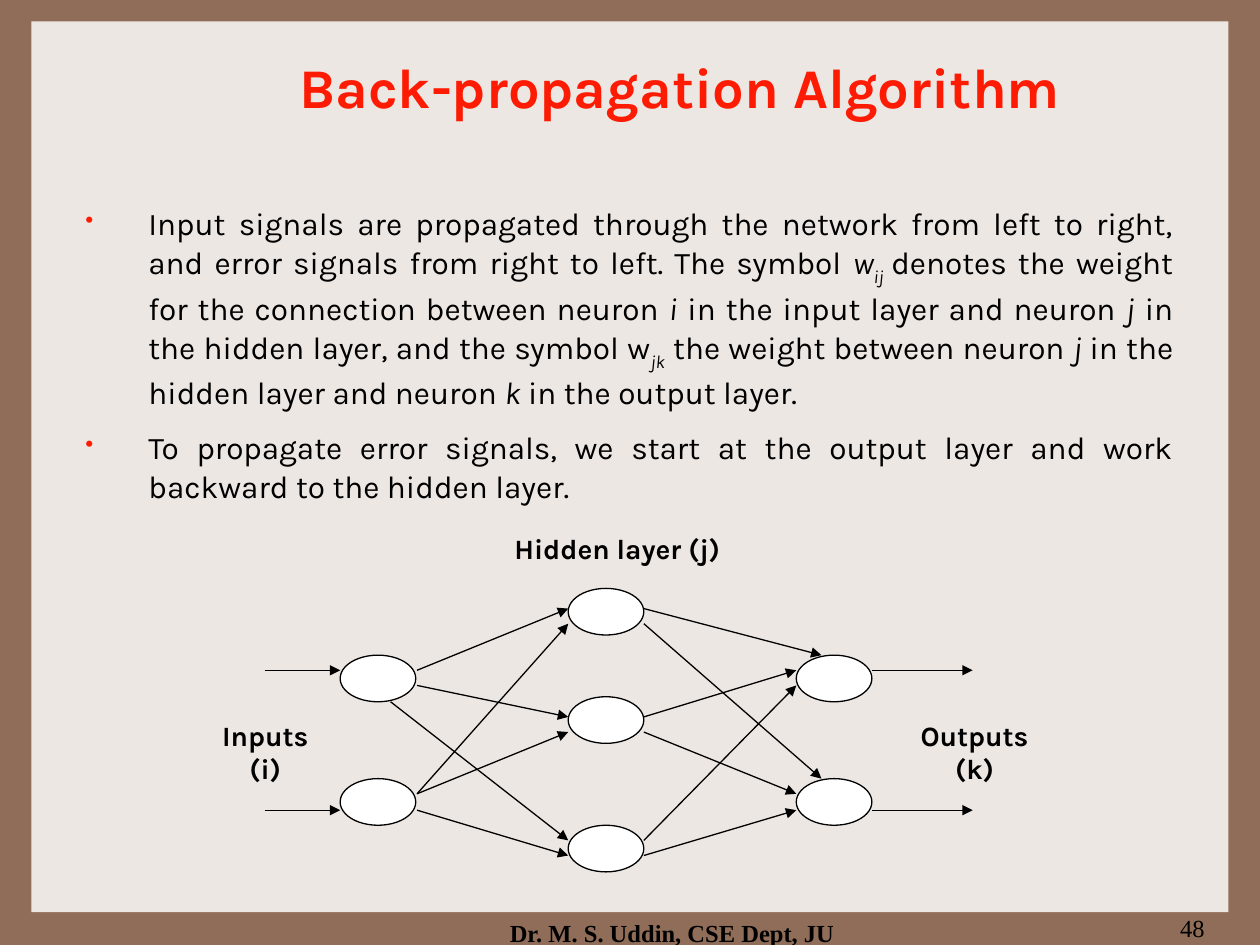
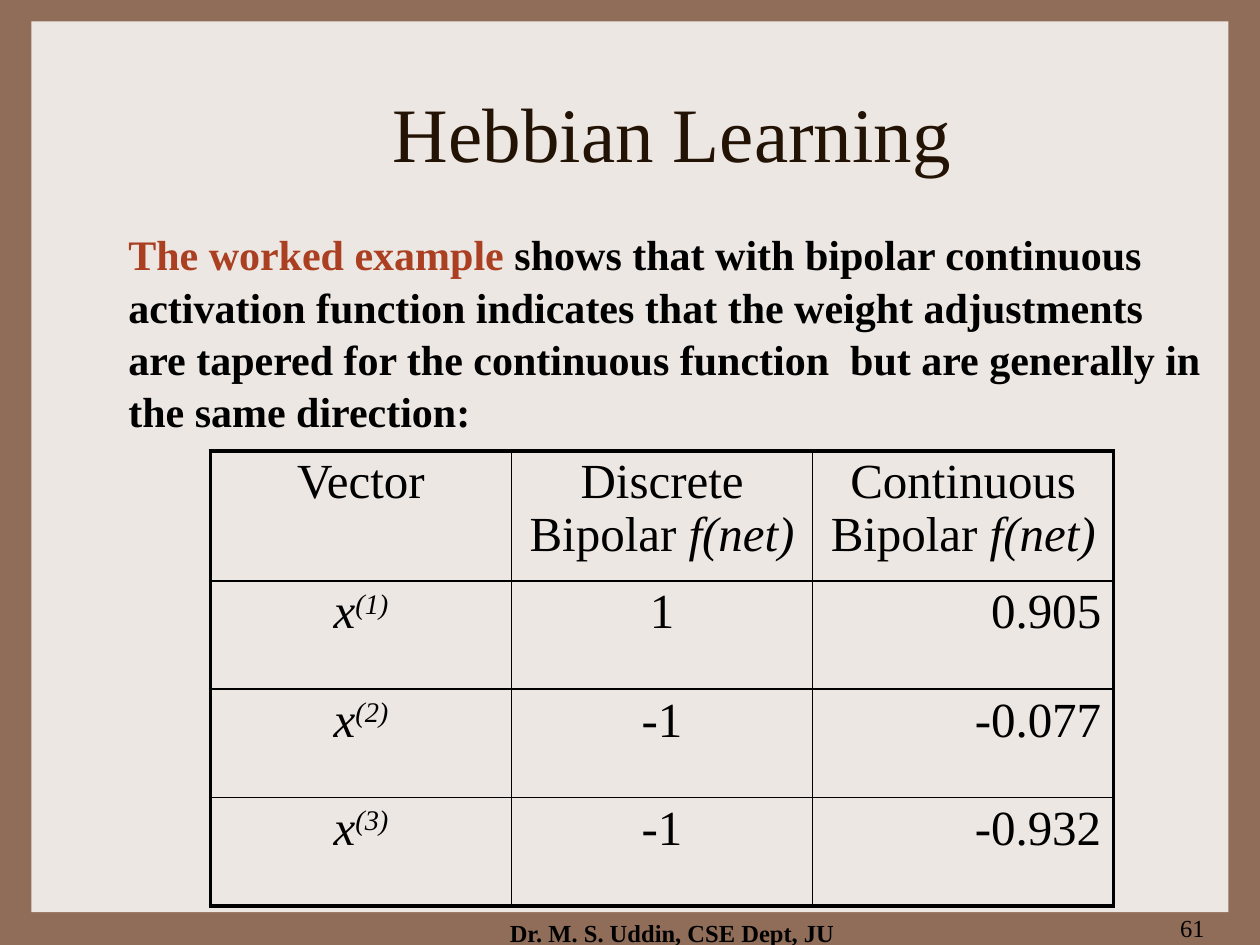
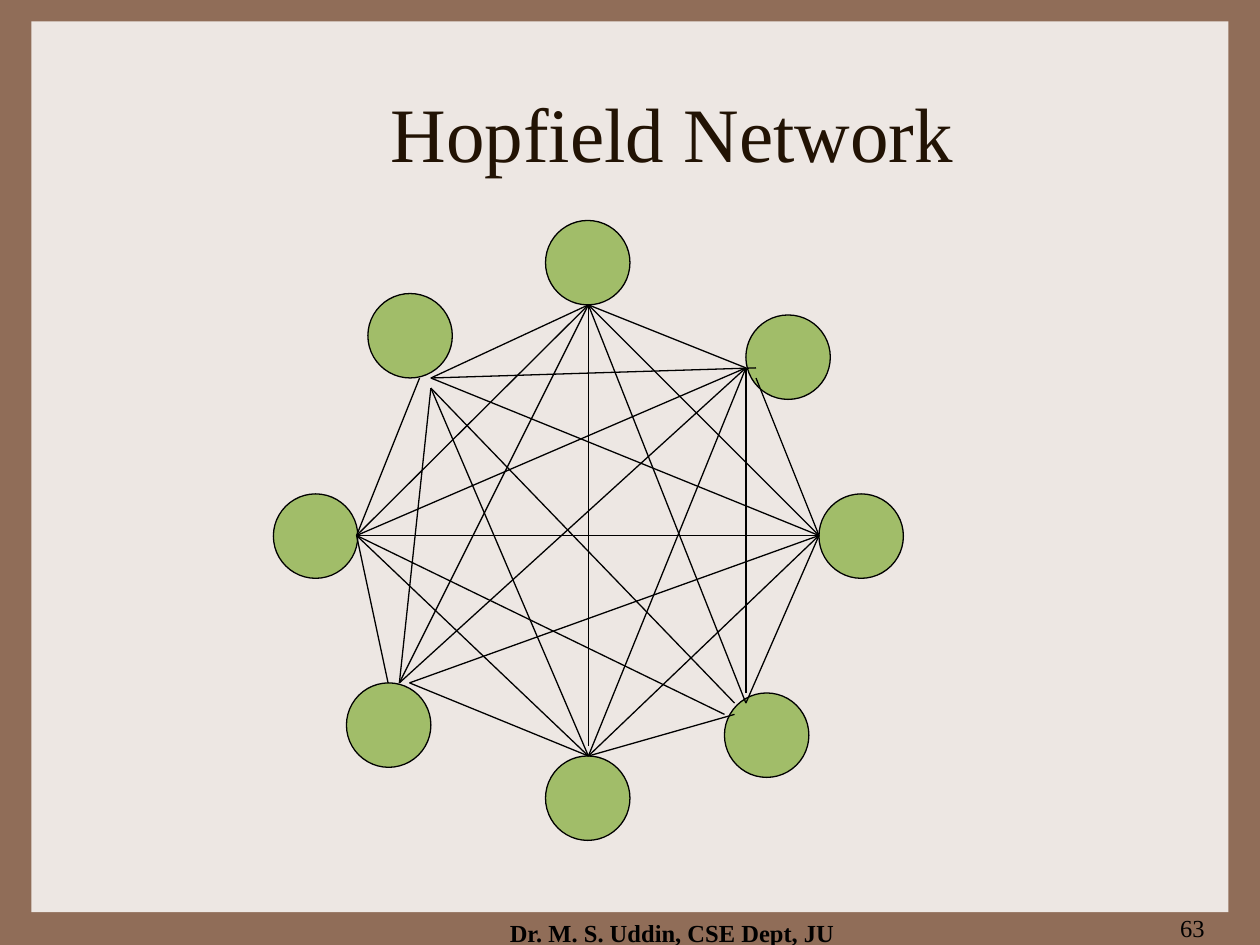
from lxml import etree
from pptx import Presentation
from pptx.dml.color import RGBColor
from pptx.enum import shapes, text
from pptx.oxml import ns
from pptx.util import Inches, Pt

BROWN = RGBColor(0x90, 0x6D, 0x58)
CREAM = RGBColor(0xED, 0xE7, 0xE3)
BLACK = RGBColor(0, 0, 0)
WHITE = RGBColor(255, 255, 255)
RED = RGBColor(0xFD, 0x1B, 0x03)
RUST = RGBColor(0xAA, 0x3F, 0x22)
UMBER = RGBColor(0x22, 0x13, 0x04)
GREEN = RGBColor(0xA1, 0xBD, 0x69)
SERIF, SANS = "Times New Roman", "Karla"
LEFT, CENTER, RIGHT, JUSTIFY = (
    text.PP_ALIGN.LEFT, text.PP_ALIGN.CENTER, text.PP_ALIGN.RIGHT, text.PP_ALIGN.JUSTIFY)
ITALIC = {"italic": True}
SUB = {"italic": True, "baseline": -30}
SUPER = {"italic": True, "baseline": 30}


def add_xml(parent, tag, **attrs):
    return etree.SubElement(parent, ns.qn(tag), attrs)


def add_bullet(p):
    pPr = p._p.get_or_add_pPr()
    pPr.set("marL", str(Inches(0.5)))
    pPr.set("indent", str(Inches(-0.5)))
    add_xml(add_xml(pPr, "a:buClr"), "a:srgbClr", val=str(RED))
    add_xml(pPr, "a:buSzPct", val="75000")
    add_xml(pPr, "a:buChar", char="•")


def write(tf, paragraphs, size, font=SERIF, color=BLACK, bold=False, align=LEFT,
          bullet=False, before=0, spacing=None):
    """Fill a text frame; a paragraph is a string or a list of (text, format) runs."""
    for i, runs in enumerate(paragraphs):
        p = tf.add_paragraph() if i else tf.paragraphs[0]
        if bullet:
            add_bullet(p)
        p.alignment = align
        if i:
            p.space_before = Pt(before)
        if spacing:
            p.line_spacing = spacing
        for words, fmt in [(runs, {})] if isinstance(runs, str) else runs:
            r = p.add_run()
            r.text = words
            r.font.name = font
            r.font.size = Pt(fmt.get("size", size))
            r.font.bold = fmt.get("bold", bold)
            r.font.italic = fmt.get("italic", False)
            r.font.color.rgb = fmt.get("color", color)
            if "baseline" in fmt:
                r._r.get_or_add_rPr().set("baseline", str(fmt["baseline"] * 1000))


def set_borders(cell, widths):
    """Widths in points, in the order left, right, top, bottom."""
    tcPr = cell._tc.get_or_add_tcPr()
    for i, (side, width) in enumerate(zip("LRTB", widths)):
        ln = etree.Element(ns.qn("a:ln" + side), w=str(Pt(width)))
        add_xml(add_xml(ln, "a:solidFill"), "a:srgbClr", val=str(BLACK))
        tcPr.insert(i, ln)


class Deck:
    """Holds the presentation, its style and the slide being built."""

    def __init__(self):
        self.prs = Presentation()
        self.prs.slide_width, self.prs.slide_height = Inches(10), Inches(7.5)
        self.s = None

    def slide(self, number):
        self.s = self.prs.slides.add_slide(self.prs.slide_layouts[6])
        fill = self.s.background.fill
        fill.solid()
        fill.fore_color.rgb = BROWN
        self.shape(shapes.MSO_SHAPE.RECTANGLE, 0.25, 0.17, 9.5, 7.07, CREAM, outline=False)
        self.text(3.75, 7.24, 3.17, 0.26, ["Dr. M. S. Uddin, CSE Dept, JU"], size=14,
                  bold=True, align=CENTER)
        self.text(7.58, 7.2, 2.08, 0.5, [str(number)], size=14, align=RIGHT)

    def title(self, runs, top=0.42, height=1.25, **fmt):
        style = {"size": 44, "color": UMBER, "align": CENTER, **fmt}
        tf = self.text(1.17, top, 8.33, height, [runs], **style)
        tf.vertical_anchor = text.MSO_ANCHOR.MIDDLE

    def text(self, x, y, w, h, paragraphs, **fmt):
        tf = self.s.shapes.add_textbox(Inches(x), Inches(y), Inches(w), Inches(h)).text_frame
        tf.word_wrap = True
        write(tf, paragraphs, **fmt)
        return tf

    def shape(self, kind, x, y, w, h, color, outline=True):
        sp = self.s.shapes.add_shape(kind, Inches(x), Inches(y), Inches(w), Inches(h))
        sp.shadow.inherit = False
        sp.fill.solid()
        sp.fill.fore_color.rgb = color
        if outline:
            sp.line.color.rgb = BLACK
            sp.line.width = Pt(0.75)
        else:
            sp.line.fill.background()

    def neuron(self, x, y, w, h, color):
        self.shape(shapes.MSO_SHAPE.OVAL, x, y, w, h, color)

    def line(self, start, end, arrow=False):
        cn = self.s.shapes.add_connector(
            shapes.MSO_CONNECTOR.STRAIGHT, *(Inches(v) for v in (*start, *end)))
        cn.line.color.rgb = BLACK
        cn.line.width = Pt(0.75)
        if arrow:
            add_xml(cn.line._get_or_add_ln(), "a:tailEnd", type="triangle")
        add_xml(cn._element.spPr, "a:effectLst")

    def table(self, x, y, col_width, heights, rows, aligns):
        n_rows, n_cols = len(rows), len(aligns)
        tbl = self.s.shapes.add_table(
            n_rows, n_cols, Inches(x), Inches(y),
            Inches(col_width * n_cols), Inches(sum(heights))).table
        tbl.first_row = tbl.horz_banding = False
        for col in tbl.columns:
            col.width = Inches(col_width)
        for i, row in enumerate(rows):
            tbl.rows[i].height = Inches(heights[i])
            for j, content in enumerate(row):
                cell = tbl.cell(i, j)
                cell.fill.background()
                write(cell.text_frame, [content], size=28, spacing=0.96,
                      align=aligns[j] if i else CENTER)
                outer = (j == 0, j == n_cols - 1, i == 0, i == n_rows - 1)
                set_borders(cell, [2.25 if edge else 1 for edge in outer])


def back_propagation(deck):
    deck.slide(48)
    deck.title([("\u00a0".replace("\u00a0", " "), {"size": 36}), ("Back-propagation Algorithm", {})],
               top=0.25, height=0.83, size=32, font=SANS, color=RED, bold=True)
    deck.text(0.58, 1.56, 8.83, 2.35, [
        [("Input signals are propagated through the network from left to right, and error "
          "signals from right to left. The symbol ", {}),
         ("w", ITALIC), ("ij ", SUB),
         ("denotes the weight for the connection between neuron ", {}), ("i", ITALIC),
         (" in the input layer and neuron ", {}), ("j", ITALIC),
         (" in the hidden layer, and the symbol w", {}), ("jk", SUB),
         (" the weight between neuron ", {}), ("j ", ITALIC),
         ("in the hidden layer and neuron ", {}), ("k", ITALIC),
         (" in the output layer. ", {})],
        "To propagate error signals, we start at the output layer and work backward to the "
        "hidden layer. ",
    ], size=18, font=SANS, align=JUSTIFY, bullet=True, before=9, spacing=1.03)

    layers = {2.7: (5.2, 6.18), 4.51: (4.67, 5.53, 6.55), 6.32: (5.2, 6.18)}
    for x, tops in layers.items():
        for y in tops:
            deck.neuron(x, y, 0.6, 0.37, WHITE)
    for y in (5.32, 6.43):
        deck.line((2.1, y), (2.7, y), arrow=True)
        deck.line((6.92, y), (7.72, y), arrow=True)
    weights = {
        (3.31, 5.32): [(4.51, 4.83)],
        (3.31, 5.44): [(4.51, 5.69)],
        (3.1, 5.57): [(4.51, 6.67)],
        (3.31, 6.3): [(4.51, 4.95), (4.51, 5.81)],
        (3.31, 6.43): [(4.51, 6.79)],
        (5.11, 4.83): [(6.52, 5.2)],
        (5.11, 4.95): [(6.52, 6.18)],
        (5.11, 5.69): [(6.32, 5.32)],
        (5.11, 5.81): [(6.32, 6.3)],
        (5.11, 6.67): [(6.32, 5.44)],
        (5.11, 6.79): [(6.32, 6.43)],
    }
    for start, ends in weights.items():
        for end in ends:
            deck.line(start, end, arrow=True)
    for x, y, w, h, label in (
            (1.5, 5.65, 1.21, 0.25, ["Inputs", "(i)"]),
            (7.13, 5.65, 1.21, 0.25, ["Outputs (k)"]),
            (3.83, 4.17, 2.14, 0.39, ["Hidden layer (j)"])):
        deck.text(x, y, w, h, label, size=16, font=SANS, bold=True, align=CENTER)


def hebbian_learning(deck):
    deck.slide(61)
    deck.title("Hebbian Learning")
    deck.text(0.92, 1.75, 8.75, 2.5, [[
        ("The worked example ", {"color": RUST}),
        ("shows that with bipolar continuous activation function indicates that the weight "
         "adjustments are tapered for the continuous function  but are generally in the same "
         "direction:", {})]], size=24, bold=True, spacing=1.04)
    outputs = [("1", "0.905"), ("-1", "-0.077"), ("-1", "-0.932")]
    header = ["Vector"] + [[(f"{kind} Bipolar ", {}), ("f(net)", ITALIC)]
                           for kind in ("Discrete", "Continuous")]
    rows = [[[("x", ITALIC), (f"({i})", SUPER)], *values]
            for i, values in enumerate(outputs, 1)]
    deck.table(1.67, 3.58, 2.39, [1.03, 0.86, 0.86, 0.86], [header, *rows],
               [CENTER, CENTER, RIGHT])


def hopfield_network(deck):
    deck.slide(63)
    deck.title("Hopfield Network")
    for x, y in ((4.33, 1.75), (6.5, 3.92), (4.33, 6), (2.17, 3.92),
                 (5.92, 2.5), (5.75, 5.5), (2.92, 2.33), (2.75, 5.42)):
        deck.neuron(x, y, 0.67, 0.67, GREEN)
    west, east, north, south = (2.83, 4.25), (6.5, 4.25), (4.67, 2.42), (4.67, 6)
    northeast, southeast = (5.92, 2.92), (5.92, 5.58)
    northwest, below_northwest = (3.42, 3), (3.42, 3.08)
    southwest, right_of_southwest = (3.17, 5.42), (3.25, 5.42)
    links = {
        west: [east, northeast, north, (3.33, 3), (5.75, 5.67), south, (3.08, 5.42)],
        east: [northwest, north, (6, 3), right_of_southwest, south, southeast],
        northwest: [north, (6, 2.92)],
        below_northwest: [(5.83, 5.58), south, southwest],
        north: [southwest, (4.67, 5.92), southeast, northeast],
        northeast: [southwest, south, (5.92, 5.5)],
        south: [(5.83, 5.67), right_of_southwest],
    }
    for start, ends in links.items():
        for end in ends:
            deck.line(start, end)


def main():
    deck = Deck()
    back_propagation(deck)
    hebbian_learning(deck)
    hopfield_network(deck)
    deck.prs.save("out.pptx")


if __name__ == "__main__":
    main()
